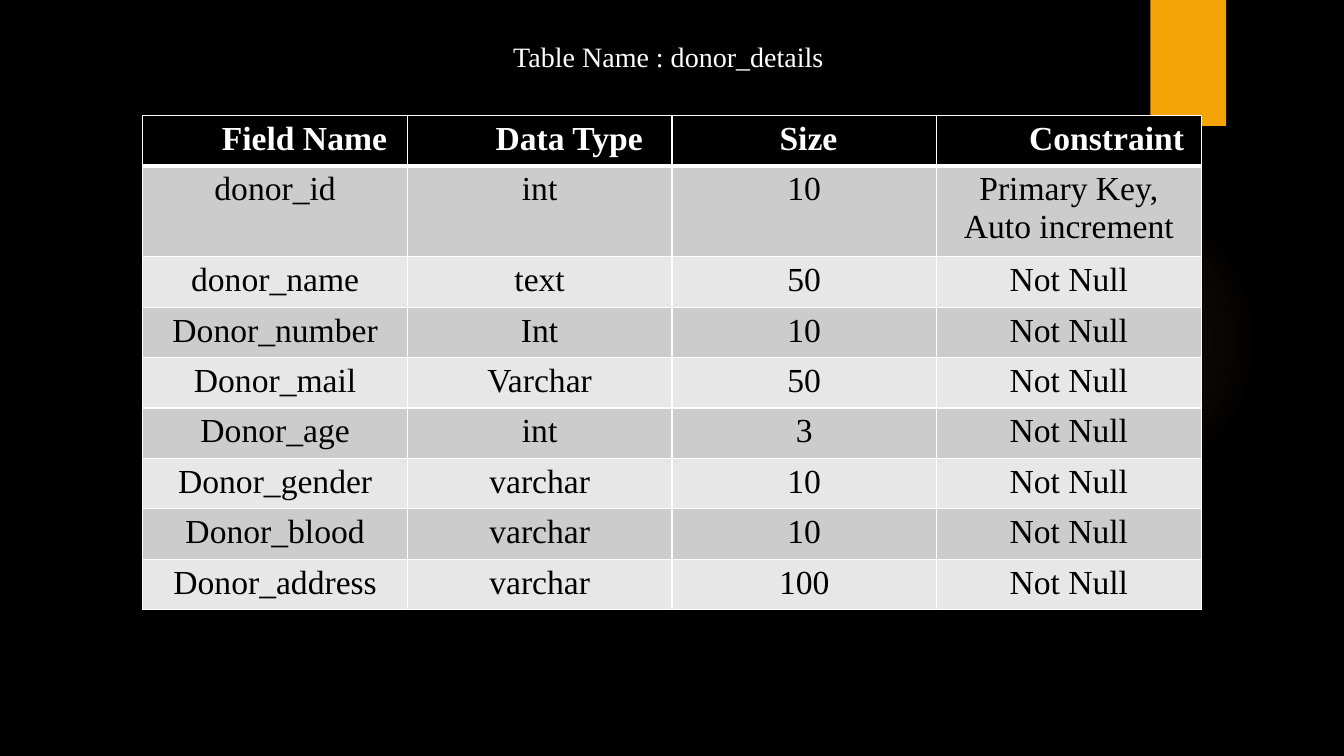
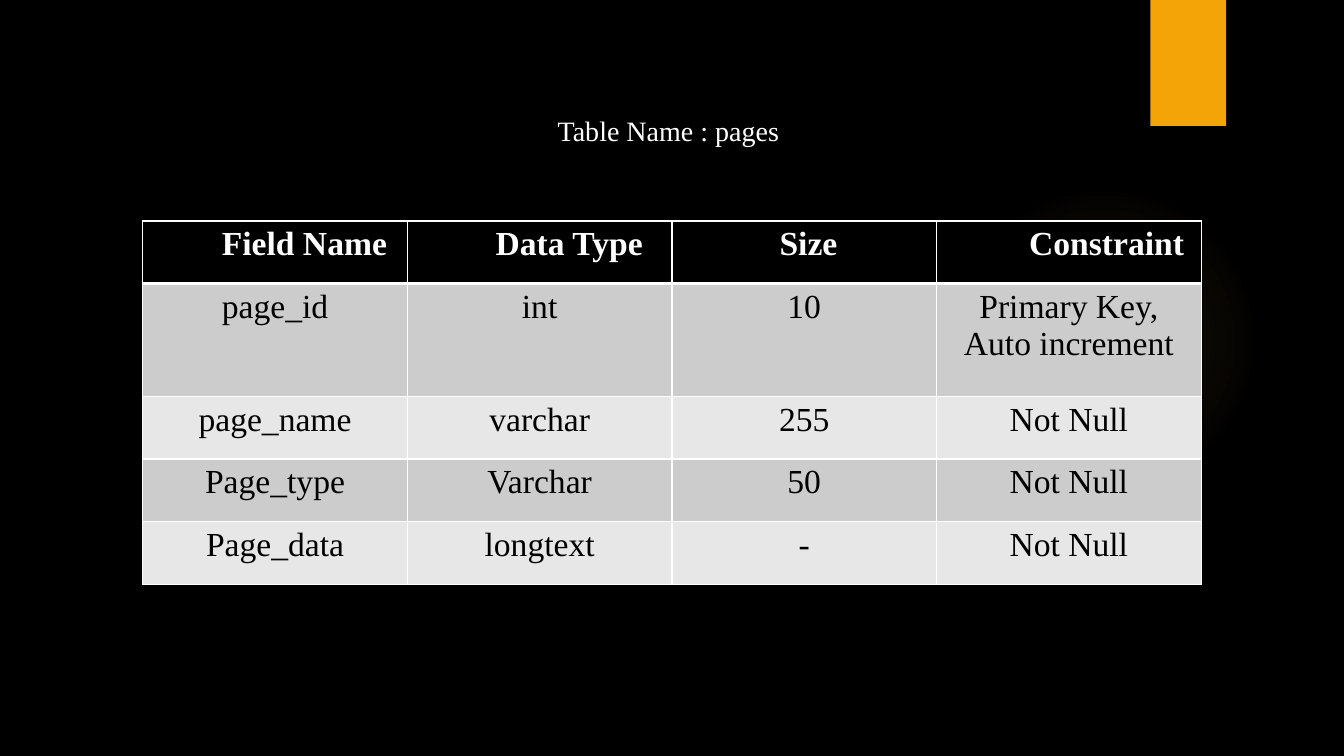
from lxml import etree
from pptx import Presentation
from pptx.dml.color import RGBColor
from pptx.enum import shapes, text
from pptx.oxml import ns, parse_xml
from pptx.util import Pt

BLACK = RGBColor(0x00, 0x00, 0x00)
WHITE = RGBColor(0xFF, 0xFF, 0xFF)
AMBER = RGBColor(0xF5, 0xA4, 0x08)
GLOW = RGBColor(0xFA, 0xC9, 0x6A)
BANDS = (RGBColor(0xCC, 0xCC, 0xCC), RGBColor(0xE7, 0xE7, 0xE7))

FONT = "Times New Roman"
TABLE_LEFT, COLUMN_WIDTH = 102, 189
HEADERS = ("Field Name", "Data Type", "Size", "Constraint")
HEADER_INDENTS = (42, 42, 6, 54)
KEY = "Primary Key,\nAuto increment"

DONOR_ROWS = (
    ("donor_id", "int", "10", KEY),
    ("donor_name", "text", "50", "Not Null"),
    ("Donor_number", "Int", "10", "Not Null"),
    ("Donor_mail", "Varchar", "50", "Not Null"),
    ("Donor_age", "int", "3", "Not Null"),
    ("Donor_gender", "varchar", "10", "Not Null"),
    ("Donor_blood", "varchar", "10", "Not Null"),
    ("Donor_address", "varchar", "100", "Not Null"),
)
PAGE_ROWS = (
    ("page_id", "int", "10", KEY),
    ("page_name", "varchar", "255", "Not Null"),
    ("Page_type", "Varchar", "50", "Not Null"),
    ("Page_data", "longtext", "-", "Not Null"),
)


def write(tf, content, size=24, color=BLACK, bold=False, indent=0):
    """Fill a text frame with centred paragraphs, one per line of content."""
    for i, line in enumerate(content.split("\n")):
        p = tf.paragraphs[0] if i == 0 else tf.add_paragraph()
        p.alignment = text.PP_ALIGN.CENTER
        if indent:
            p._p.get_or_add_pPr().set("marL", str(Pt(indent)))
        r = p.add_run()
        r.text = line
        r.font.name = FONT
        r.font.size = Pt(size)
        r.font.bold = bold
        r.font.color.rgb = color


def add_plain_shape(s, kind, left, top, width, height, color):
    sp = s.shapes.add_shape(kind, Pt(left), Pt(top), Pt(width), Pt(height))
    sp.shadow.inherit = False
    sp.fill.solid()
    sp.fill.fore_color.rgb = color
    sp.line.fill.background()
    return sp


def fade_out(sp, color):
    """Replace the solid fill by a faint radial glow."""
    stops = "".join(
        f'<a:gs pos="{pos * 1000}"><a:srgbClr val="{color}">'
        f'<a:alpha val="{alpha * 1000}"/></a:srgbClr></a:gs>'
        for pos, alpha in ((0, 7), (36, 6), (69, 0))
    )
    gradient = parse_xml(
        f'<a:gradFill {ns.nsdecls("a")}><a:gsLst>{stops}</a:gsLst>'
        '<a:path path="circle"><a:fillToRect l="50000" t="50000" r="50000" b="50000"/>'
        "</a:path></a:gradFill>"
    )
    spPr = sp._element.spPr
    spPr.replace(spPr.find(ns.qn("a:solidFill")), gradient)


def set_borders(cell, top, bottom):
    tcPr = cell._tc.get_or_add_tcPr()
    for side, width in (("L", 1), ("R", 1), ("T", top), ("B", bottom)):
        ln = etree.SubElement(tcPr, ns.qn(f"a:ln{side}"), w=str(Pt(width)))
        fill = etree.SubElement(ln, ns.qn("a:solidFill"))
        etree.SubElement(fill, ns.qn("a:srgbClr"), val=str(WHITE))


def add_title(s, title, top):
    sp = s.shapes.add_textbox(Pt(66), Pt(top), Pt(823), Pt(30))
    sp.text_frame.word_wrap = True
    write(sp.text_frame, title, size=20, color=WHITE)


def add_field_table(s, rows, top, heights):
    frame = s.shapes.add_table(
        len(rows) + 1, len(HEADERS), Pt(TABLE_LEFT), Pt(top),
        Pt(COLUMN_WIDTH * len(HEADERS)), Pt(sum(heights)))
    table = frame.table
    for column in table.columns:
        column.width = Pt(COLUMN_WIDTH)
    for i, (values, height) in enumerate(zip((HEADERS, *rows), heights)):
        table.rows[i].height = Pt(height)
        is_header = i == 0
        for j, value in enumerate(values):
            cell = table.cell(i, j)
            set_borders(cell, top=3 if i == 1 else 1, bottom=3 if is_header else 1)
            cell.fill.solid()
            cell.fill.fore_color.rgb = BLACK if is_header else BANDS[(i - 1) % 2]
            write(cell.text_frame, value, bold=is_header,
                  color=WHITE if is_header else BLACK,
                  indent=HEADER_INDENTS[j] if is_header else 0)


def add_table_slide(prs, title, title_top, rows, table_top, heights):
    s = prs.slides.add_slide(prs.slide_layouts[6])
    glow = add_plain_shape(s, shapes.MSO_SHAPE.OVAL, 677.5, 131.8, 221.8, 221.8, GLOW)
    fade_out(glow, GLOW)
    add_plain_shape(s, shapes.MSO_SHAPE.RECTANGLE, 821.8, 0, 54, 90, AMBER)
    add_title(s, title, title_top)
    add_field_table(s, rows, table_top, heights)


def main():
    prs = Presentation()
    prs.slide_width, prs.slide_height = Pt(960), Pt(540)
    background = prs.slide_master.background.fill
    background.solid()
    background.fore_color.rgb = BLACK

    add_table_slide(prs, "Table Name : donor_details", 24.5, DONOR_ROWS, 82.5,
                    [35, 63.4] + [35] * 5 + [33.8, 35])
    add_table_slide(prs, "Table Name : pages", 77.5, PAGE_ROWS, 157.8,
                    [44.8, 80.5] + [44.8] * 3)
    prs.save("out.pptx")


if __name__ == "__main__":
    main()
